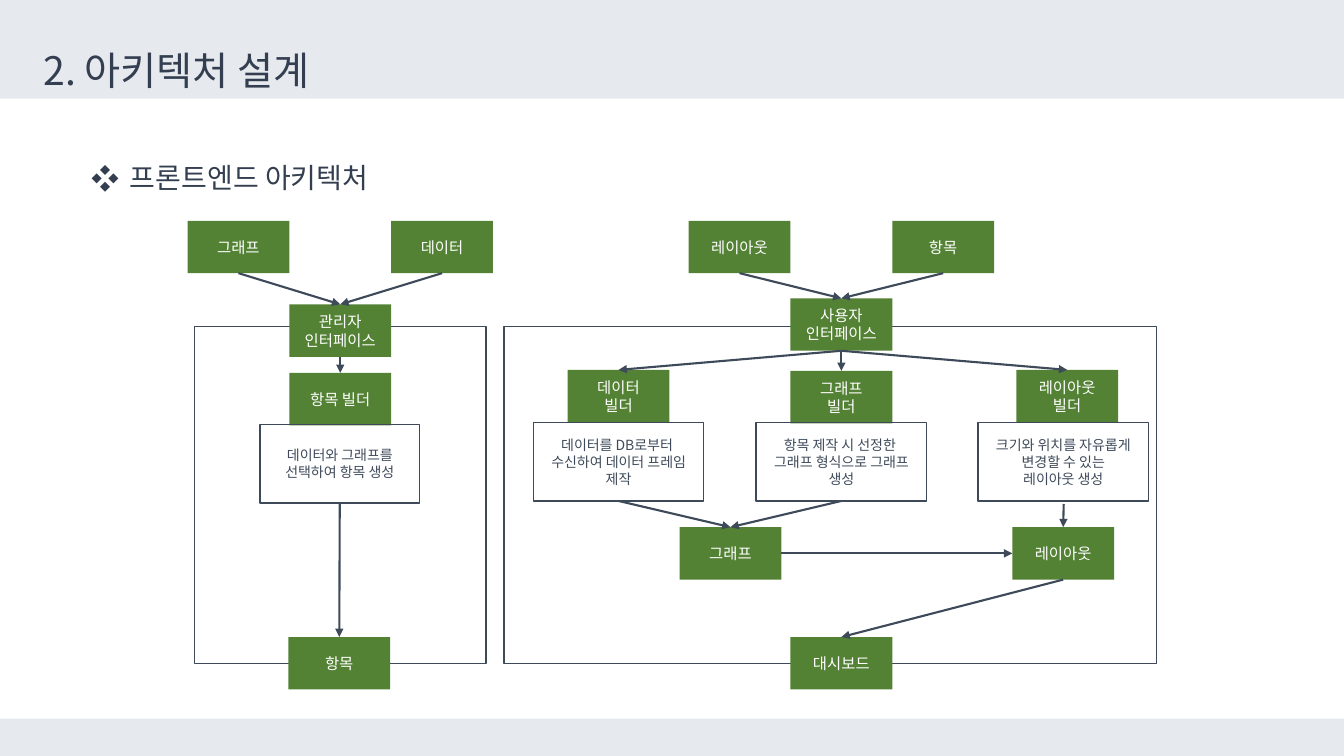
import pptx
import pptx.util
import pptx.dml.color
import pptx.enum.shapes
import pptx.enum.text
import pptx.oxml
import pptx.oxml.ns

Inches = pptx.util.Inches
Align = pptx.enum.text.PP_ALIGN
Anchor = pptx.enum.text.MSO_ANCHOR
RECTANGLE = pptx.enum.shapes.MSO_SHAPE.RECTANGLE

FONT = "Noto Sans CJK KR"
COLORS = {"band": "ADB9CA", "heading": "333F50", "line": "3E4A5A", "box": "548235", "white": "FFFFFF"}
TITLE = "2. 아키텍처 설계"
SUBTITLE = "프론트엔드 아키텍처"
BANDS = [(0, 0.98), (7.13, 0.37)]
FRAMES = [(1.93, 2.89), (5, 6.47)]
FRAME_TOP, FRAME_HEIGHT = 3.24, 3.34
BOX_WIDTH, BOX_HEIGHT = 1.01, 0.52
NOTE_HEIGHT = 0.78

BOXES = {
    "graph input": (1.86, 2.19, ["그래프"]),
    "data input": (3.88, 2.19, ["데이터"]),
    "admin": (2.87, 3.02, ["관리자", "인터페이스"]),
    "item builder": (2.87, 3.7, ["항목 빌더"]),
    "item": (2.86, 6.32, ["항목"]),
    "layout input": (6.83, 2.19, ["레이아웃"]),
    "item input": (8.85, 2.19, ["항목"]),
    "user": (7.84, 2.96, ["사용자", "인터페이스"]),
    "data builder": (5.63, 3.67, ["데이터", "빌더"]),
    "graph builder": (7.84, 3.68, ["그래프", "빌더"]),
    "layout builder": (10.08, 3.67, ["레이아웃", "빌더"]),
    "graph": (6.74, 5.23, ["그래프"]),
    "layout": (10.04, 5.23, ["레이아웃"]),
    "dashboard": (7.84, 6.32, ["대시보드"]),
}
NOTES = {
    "item note": (2.58, 4.21, 1.58, ["데이터와 그래프를 선택하여 항목 생성"]),
    "data note": (5.29, 4.19, 1.69, ["데이터를 DB로부터 ", "수신하여 데이터 프레임 제작"]),
    "graph note": (7.5, 4.19, 1.69, ["항목 제작 시 선정한 ", "그래프 형식으로 그래프 생성"]),
    "layout note": (9.7, 4.19, 1.69, ["크기와 위치를 자유롭게 변경할 수 있는", "레이아웃 생성"]),
}
DOWN_ARROWS = [
    ("graph input", "admin"), ("data input", "admin"), ("admin", "item builder"),
    ("item note", "item"), ("layout input", "user"), ("item input", "user"),
    ("user", "data builder"), ("user", "graph builder"), ("user", "layout builder"),
    ("data note", "graph"), ("graph note", "graph"), ("layout", "dashboard"),
]
TOP, LEFT, BOTTOM, RIGHT = range(4)


def color(name):
    return pptx.dml.color.RGBColor.from_string(COLORS[name])


def add_xml(parent, tag, **attributes):
    child = pptx.oxml.parse_xml(f"<a:{tag} {pptx.oxml.ns.nsdecls('a')}/>")
    for name, value in attributes.items():
        child.set(name, value)
    parent.append(child)


def write(shape, lines, size, ink, align=Align.CENTER, anchor=Anchor.MIDDLE, bullet=None, spacing=None):
    frame = shape.text_frame
    frame.word_wrap = True
    frame.vertical_anchor = anchor
    frame.margin_left = frame.margin_right = Inches(0.1)
    frame.margin_top = frame.margin_bottom = Inches(0.05)
    for index, line in enumerate(lines):
        para = frame.add_paragraph() if index else frame.paragraphs[0]
        para.alignment = align
        para.space_before = pptx.util.Pt(0)
        para.line_spacing = spacing or 1.0
        if bullet:
            properties = para._p.get_or_add_pPr()
            properties.set("marL", str(Inches(0.38)))
            properties.set("indent", str(-Inches(0.38)))
            add_xml(properties, "buFont", typeface=FONT)
            add_xml(properties, "buChar", char=bullet)
        span = para.add_run()
        span.text = line
        span.font.size = pptx.util.Pt(size)
        span.font.name = FONT
        span.font.color.rgb = color(ink)
        add_xml(span._r.get_or_add_rPr(), "ea", typeface=FONT)


def add_rectangle(page, left, top, width, height, fill=None, line=None):
    shape = page.shapes.add_shape(RECTANGLE, Inches(left), Inches(top), Inches(width), Inches(height))
    shape.shadow.inherit = False
    if fill:
        shape.fill.solid()
        shape.fill.fore_color.rgb = color(fill)
    else:
        shape.fill.background()
    if line:
        shape.line.color.rgb = color(line)
        shape.line.width = pptx.util.Pt(1)
    else:
        shape.line.fill.background()
    return shape


def add_arrow(page, start=None, end=None, start_side=BOTTOM, end_side=TOP, points=(0, 0, 0, 0)):
    arrow = page.shapes.add_connector(
        pptx.enum.shapes.MSO_CONNECTOR.STRAIGHT, *[Inches(value) for value in points])
    if start is not None:
        arrow.begin_connect(start, start_side)
    if end is not None:
        arrow.end_connect(end, end_side)
    arrow.line.color.rgb = color("line")
    arrow.line.width = pptx.util.Pt(1.5)
    add_xml(arrow.line._get_or_add_ln(), "tailEnd", type="triangle")
    add_xml(arrow._element.spPr, "effectLst")


def main():
    deck = pptx.Presentation()
    deck.slide_width, deck.slide_height = Inches(13.33), Inches(7.5)
    page = deck.slides.add_slide(deck.slide_layouts[5])

    title = page.shapes.title
    title.left, title.top, title.width, title.height = [Inches(v) for v in (0.33, 0.41, 5.5, 0.57)]
    write(title, [TITLE], 28, "heading", align=Align.JUSTIFY)
    for top, height in BANDS:
        band = add_rectangle(page, 0, top, 13.33, height, fill="band")
        add_xml(band.fill._xPr.solidFill[0], "alpha", val="30000")
        title._element.addprevious(band._element)

    subtitle = page.shapes.add_textbox(*[Inches(v) for v in (0.81, 1.38, 11.72, 0.56)])
    write(subtitle, [SUBTITLE], 20, "heading", align=Align.JUSTIFY, anchor=Anchor.TOP, bullet="❖", spacing=1.5)

    for left, width in FRAMES:
        add_rectangle(page, left, FRAME_TOP, width, FRAME_HEIGHT, line="line")
    parts = {}
    for name, (left, top, lines) in BOXES.items():
        parts[name] = add_rectangle(page, left, top, BOX_WIDTH, BOX_HEIGHT, fill="box")
        write(parts[name], lines, 11, "white")
    for name, (left, top, width, lines) in NOTES.items():
        parts[name] = add_rectangle(page, left, top, width, NOTE_HEIGHT, line="line")
        write(parts[name], lines, 10, "line")

    for start, end in DOWN_ARROWS:
        add_arrow(page, parts[start], parts[end])
    add_arrow(page, parts["graph"], parts["layout"], start_side=RIGHT, end_side=LEFT)
    add_arrow(page, end=parts["layout"], points=(10.55, 5, 10.55, 5.23))
    deck.save("out.pptx")


if __name__ == "__main__":
    main()
